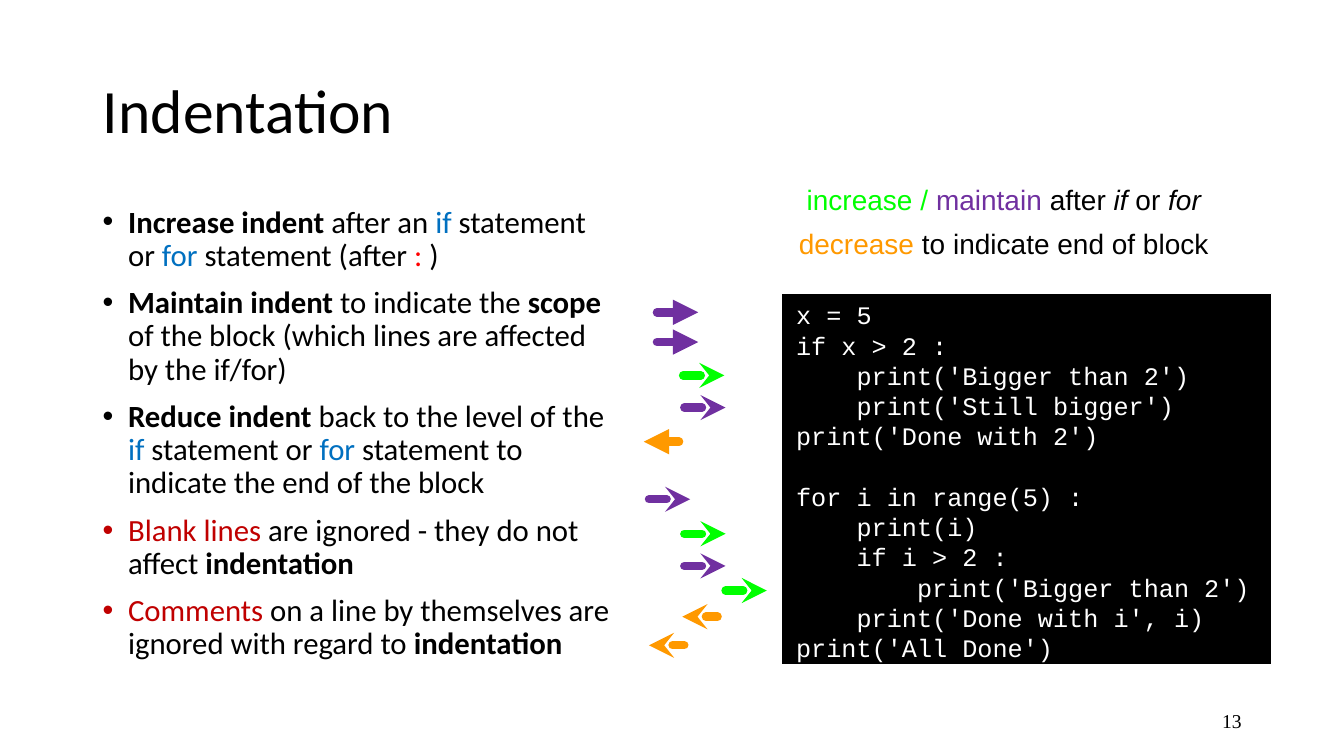
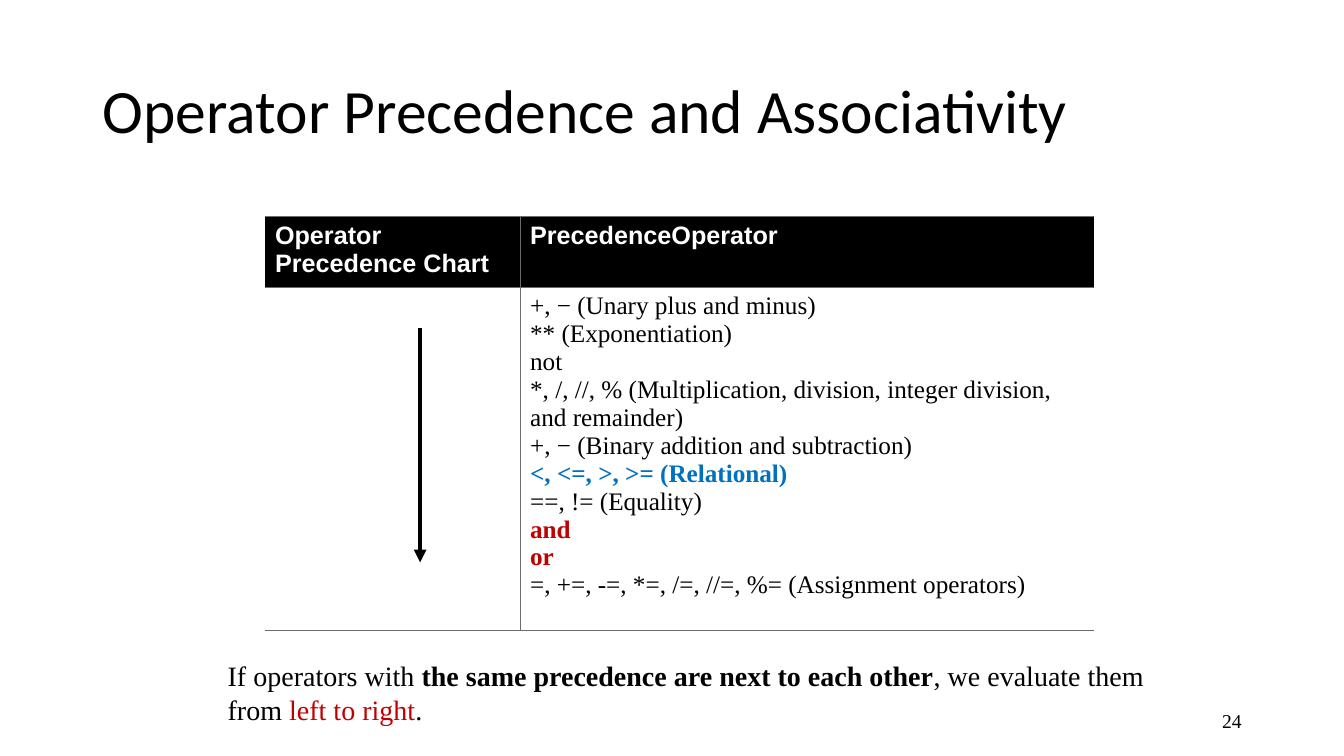
from dataclasses import dataclass

from lxml import etree
from pptx import Presentation, util as u
from pptx.dml.color import RGBColor
from pptx.enum import shapes, text
from pptx.oxml import ns


@dataclass(frozen=True)
class Theme:
    ink: str = "000000"
    paper: str = "FFFFFF"
    rule: str = "6C6C6C"
    keyword: str = "0070C0"
    warning: str = "C00000"
    colon: str = "FF0000"
    increase: str = "00FF00"
    maintain: str = "7030A0"
    decrease: str = "FF9900"
    heading_font: str = "Calibri"
    label_font: str = "Arial"
    code_font: str = "Courier New"
    prose_font: str = "Times New Roman"
    title_size: int = 44
    bullet_size: int = 22
    note_size: int = 20
    detail_size: int = 18
    number_size: int = 14


THEME = Theme()
LINE_FACTOR = 1.2

BOLD = {"bold": True}
ITALIC = {"italic": True}
KEYWORD = {"color": THEME.keyword}
WARNING = {"color": THEME.warning}

# Each paragraph is a list of plain strings and (string, format) pairs.
INDENT_RULES = [
    [("Increase indent ", BOLD), "after an ", ("if", KEYWORD), " statement or ",
     ("for", KEYWORD), " statement (after ", (": ", {"color": THEME.colon}), ")"],
    [("Maintain indent ", BOLD), "to indicate the ", ("scope", BOLD),
     " of the block (which lines are affected by the if/for)"],
    [("Reduce indent ", BOLD), "back to the level of the ", ("if", KEYWORD),
     " statement or ", ("for", KEYWORD), " statement to indicate the end of the block"],
    [("Blank lines ", WARNING), "are ignored - they do not affect ", ("indentation", BOLD)],
    [("Comments", WARNING), " on a line by themselves are ignored with regard to ",
     ("indentation", BOLD)],
]

LEGEND = [
    [("increase / ", {"color": THEME.increase}), ("maintain ", {"color": THEME.maintain}),
     "after ", ("if", ITALIC), " or ", ("for", ITALIC)],
    [("decrease ", {"color": THEME.decrease}), "to indicate end of block"],
]

CONDITION_CODE = [
    "x = 5",
    "if x > 2 :",
    "    print('Bigger than 2')",
    "    print('Still bigger')",
    "print('Done with 2')",
]
LOOP_CODE = [
    "for i in range(5) :",
    "    print(i)",
    "    if i > 2 :",
    "        print('Bigger than 2')",
    "    print('Done with i', i)",
    "print('All Done')",
]

# Colour, arrowhead, and the tip's place in cm.
INDENT_ARROWS = [
    (THEME.maintain, "triangle", 17.6, 7.87),
    (THEME.maintain, "triangle", 17.6, 8.62),
    (THEME.increase, "stealth", 18.26, 9.46),
    (THEME.maintain, "stealth", 18.29, 10.27),
    (THEME.decrease, "triangle", 16.23, 11.13),
    (THEME.maintain, "stealth", 17.4, 12.58),
    (THEME.increase, "stealth", 18.29, 13.45),
    (THEME.maintain, "stealth", 18.29, 14.26),
    (THEME.increase, "stealth", 19.33, 14.88),
    (THEME.decrease, "stealth", 17.2, 15.54),
    (THEME.decrease, "stealth", 16.36, 16.26),
]

OPERATORS = [
    ["+, − (Unary plus and minus)"],
    ["** (Exponentiation)"],
    ["not"],
    ["*, /, //, % (Multiplication, division, integer division, and remainder)"],
    ["+, − (Binary addition and subtraction)"],
    [("<, <=, >, >= (Relational)", KEYWORD | BOLD)],
    ["==, != (Equality)"],
    [("and", WARNING | BOLD)],
    [("or", WARNING | BOLD)],
    ["=, +=, -=, *=, /=, //=, %= (Assignment operators)"],
]

ASSOCIATIVITY = [
    ["If operators with ", ("the same precedence are next to each other", BOLD),
     ", we evaluate them from ", ("left to right", WARNING), "."],
]


def rgb(color):
    return RGBColor.from_string(color)


def box(left, top, width, height):
    return [u.Cm(length) for length in (left, top, width, height)]


def sub(parent, tag, **attributes):
    return etree.SubElement(parent, ns.qn(tag), attributes)


def add_bullet(paragraph, color):
    properties = paragraph._p.get_or_add_pPr()
    hanging = u.Cm(0.64)
    properties.set("marL", str(hanging))
    properties.set("indent", str(-hanging))
    sub(sub(properties, "a:buClr"), "a:srgbClr", val=color)
    sub(properties, "a:buFont", typeface=THEME.label_font)
    sub(properties, "a:buChar", char="•")


def write(frame, paragraphs, *, font, size, color=THEME.ink, bold=False,
          align=text.PP_ALIGN.LEFT, line=None, before=0, bullets=False):
    """Fill a text frame; `before` is the gap in points between paragraphs."""
    for index, pieces in enumerate(paragraphs):
        paragraph = frame.add_paragraph() if index else frame.paragraphs[0]
        runs = [(piece, {}) if isinstance(piece, str) else piece for piece in pieces]
        if bullets:
            add_bullet(paragraph, runs[0][1].get("color", color))
        paragraph.alignment = align
        if line:
            paragraph.line_spacing = line
        paragraph.space_before = u.Pt(before if index else 0)
        for words, style in runs:
            run = paragraph.add_run()
            run.text = words
            run.font.name = font
            run.font.size = u.Pt(size)
            run.font.bold = style.get("bold", bold)
            run.font.italic = style.get("italic", False)
            run.font.color.rgb = rgb(style.get("color", color))


def add_text(slide, place, paragraphs, anchor=text.MSO_ANCHOR.TOP, **style):
    frame = slide.shapes.add_textbox(*box(*place)).text_frame
    frame.word_wrap = True
    frame.vertical_anchor = anchor
    write(frame, paragraphs, **style)


def add_titled_slide(deck, title, number):
    slide = deck.slides.add_slide(deck.slide_layouts[5])
    heading = slide.shapes.title
    heading.left, heading.top, heading.width, heading.height = box(2.34, 1.02, 29.21, 3.68)
    heading.text_frame.auto_size = text.MSO_AUTO_SIZE.NONE
    heading.text_frame.vertical_anchor = text.MSO_ANCHOR.MIDDLE
    write(heading.text_frame, [[title]], font=THEME.heading_font,
          size=THEME.title_size, line=0.9)
    add_text(slide, (23.93, 17.65, 7.62, 1.02), [[str(number)]],
             anchor=text.MSO_ANCHOR.MIDDLE, font=THEME.prose_font,
             size=THEME.number_size, align=text.PP_ALIGN.RIGHT)
    return slide


def add_arrow(slide, start, tip, color, weight, head="triangle", cap="flat"):
    ends = [u.Cm(length) for length in (*start, *tip)]
    arrow = slide.shapes.add_connector(shapes.MSO_CONNECTOR.STRAIGHT, *ends)
    arrow.line.color.rgb = rgb(color)
    arrow.line.width = u.Pt(weight)
    outline = arrow.line._get_or_add_ln()
    outline.set("cap", cap)
    sub(outline, "a:tailEnd", type=head)
    sub(arrow._element.spPr, "a:effectLst")


def add_code(slide, place, blocks):
    """Show blocks of code, parted by the height of one line."""
    panel = slide.shapes.add_shape(shapes.MSO_SHAPE.RECTANGLE, *box(*place))
    panel.shadow.inherit = False
    panel.fill.solid()
    panel.fill.fore_color.rgb = rgb(THEME.ink)
    panel.line.color.rgb = rgb(THEME.paper)
    panel.line.width = u.Pt(1)
    frame = panel.text_frame
    frame.word_wrap = True
    frame.vertical_anchor = text.MSO_ANCHOR.MIDDLE
    frame.margin_left, frame.margin_top = u.Cm(0.38), u.Cm(0.1)
    frame.margin_right = frame.margin_bottom = 0
    pitch = u.Pt(THEME.detail_size * LINE_FACTOR)
    write(frame, [[row] for block in blocks for row in block], font=THEME.code_font,
          size=THEME.detail_size, color=THEME.paper, line=pitch)
    first_row = 0
    for block in blocks[:-1]:
        first_row += len(block)
        frame.paragraphs[first_row].space_before = pitch


def set_borders(cell, visible):
    properties = cell._tc.get_or_add_tcPr()
    for index, side in enumerate("LRTB"):
        border = etree.Element(ns.qn(f"a:ln{side}"), w=str(u.Pt(0.34)))
        if side in visible:
            sub(sub(border, "a:solidFill"), "a:srgbClr", val=THEME.rule)
        else:
            sub(border, "a:noFill")
        properties.insert(index, border)


def add_table(slide, corner, widths, heights, rows):
    """Draw a table with a dark heading row; a cell is a list of paragraphs."""
    frame = slide.shapes.add_table(len(heights), len(widths),
                                   *box(*corner, sum(widths), sum(heights)))
    table = frame.table
    table.first_row = table.horz_banding = False
    for column, width in zip(table.columns, widths):
        column.width = u.Cm(width)
    for row_index, (row, height) in enumerate(zip(rows, heights)):
        table.rows[row_index].height = u.Cm(height)
        heading = row_index == 0
        for column_index, paragraphs in enumerate(row):
            cell = table.cell(row_index, column_index)
            cell.fill.solid()
            cell.fill.fore_color.rgb = rgb(THEME.ink if heading else THEME.paper)
            set_borders(cell, "LTB" if column_index else "RTB")
            write(cell.text_frame, paragraphs, size=THEME.detail_size, bold=heading,
                  font=THEME.label_font if heading else THEME.prose_font,
                  color=THEME.paper if heading else THEME.ink)


def build_indentation(deck):
    slide = add_titled_slide(deck, "Indentation", 13)
    add_text(slide, (2.34, 5.08, 13.34, 12.09), INDENT_RULES, font=THEME.heading_font,
             size=THEME.bullet_size, line=0.9, before=10, bullets=True)
    add_code(slide, (19.69, 7.39, 12.37, 9.37), [CONDITION_CODE, LOOP_CODE])
    add_text(slide, (19.69, 4.47, 11.23, 2.2), LEGEND, font=THEME.label_font,
             size=THEME.note_size, align=text.PP_ALIGN.CENTER,
             line=u.Pt(THEME.note_size * LINE_FACTOR), before=7.2)
    for color, head, x, y in INDENT_ARROWS:
        tail = x + 0.89 if color == THEME.decrease else x - 1.04
        add_arrow(slide, (tail, y), (x, y), color, 6, head, cap="rnd")


def build_precedence(deck):
    slide = add_titled_slide(deck, "Operator Precedence and Associativity", 24)
    add_table(slide, (6.68, 5.46), (6.43, 14.48), (1.78, 8.64), [
        ([["Operator Precedence Chart"]], [["PrecedenceOperator"]]),
        ([], OPERATORS),
    ])
    add_arrow(slide, (10.59, 8.26), (10.59, 14.17), THEME.ink, 3)
    add_text(slide, (5.49, 16.48, 24.21, 1.96), ASSOCIATIVITY, font=THEME.prose_font,
             size=THEME.note_size, line=u.Pt(THEME.note_size * LINE_FACTOR))


def main():
    deck = Presentation()
    deck.slide_width, deck.slide_height = u.Cm(33.88), u.Cm(19.05)
    build_indentation(deck)
    build_precedence(deck)
    deck.save("out.pptx")


if __name__ == "__main__":
    main()
